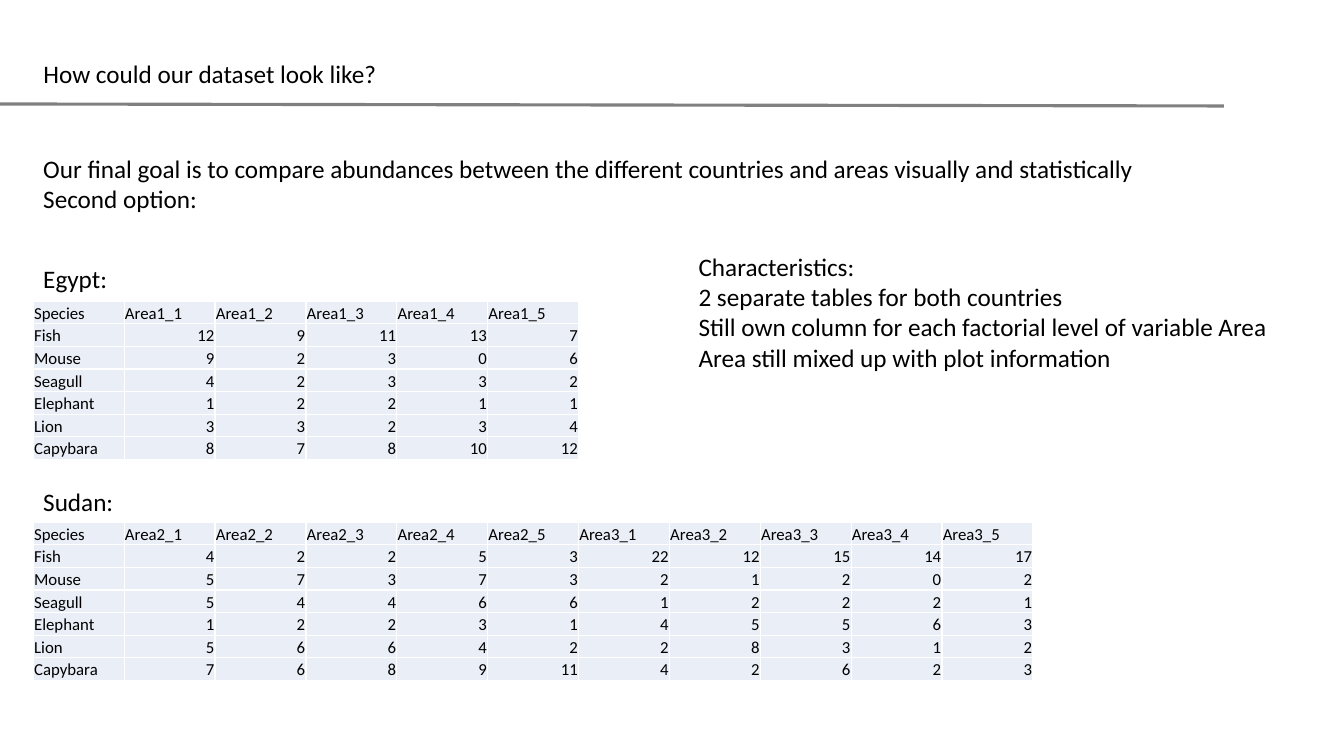
from lxml import etree
from pptx import Presentation
from pptx.dml.color import RGBColor
from pptx.enum import shapes, text
from pptx.oxml.ns import qn
from pptx.util import Cm, Pt

TITLE = "How could our dataset look like?"
GOAL = [
    "Our final goal is to compare abundances between the different countries and areas visually and statistically",
    "Second option:",
]
TRAITS = [
    "Characteristics:",
    "2 separate tables for both countries",
    "Still own column for each factorial level of variable Area",
    "Area still mixed up with plot information",
]
SPECIES = ["Fish", "Mouse", "Seagull", "Elephant", "Lion", "Capybara"]
PLOTS = 5
EGYPT = [
    [12, 9, 11, 13, 7],
    [9, 2, 3, 0, 6],
    [4, 2, 3, 3, 2],
    [1, 2, 2, 1, 1],
    [3, 3, 2, 3, 4],
    [8, 7, 8, 10, 12],
]
SUDAN = [
    [4, 2, 2, 5, 3, 22, 12, 15, 14, 17],
    [5, 7, 3, 7, 3, 2, 1, 2, 0, 2],
    [5, 4, 4, 6, 6, 1, 2, 2, 2, 1],
    [1, 2, 2, 3, 1, 4, 5, 5, 6, 3],
    [5, 6, 6, 4, 2, 2, 8, 3, 1, 2],
    [7, 6, 8, 9, 11, 4, 2, 6, 2, 3],
]
# label, label width, label top, table top, areas, counts
COUNTRIES = [
    ("Egypt:", 2.13, 6.5, 7.59, [1], EGYPT),
    ("Sudan:", 2.31, 12.14, 13.16, [2, 3], SUDAN),
]
COLORS = {"text": "000000", "rule": "808080", "cell": "EAEFF7", "edge": "FFFFFF"}
FONT = "Calibri"
LEFT, COL, ROW = 0.84, 2.29, 0.57


def color(name):
    return RGBColor.from_string(COLORS[name])


def write(frame, lines, size=18, align=text.PP_ALIGN.LEFT):
    frame.text = "\n".join(lines)
    for par in frame.paragraphs:
        props = par._p.get_or_add_pPr()
        props.set("marL", "0")
        props.set("indent", "0")
        etree.SubElement(props, qn("a:buNone"))
        par.alignment = align
        par.space_before = Pt(0)
        for run in par.runs:
            run.font.size = Pt(size)
            run.font.name = FONT
            run.font.color.rgb = color("text")


def place(shape, lines, left, top, width, height):
    shape.left, shape.top = Cm(left), Cm(top)
    shape.width, shape.height = Cm(width), Cm(height)
    frame = shape.text_frame
    write(frame, lines)
    frame.word_wrap = False
    frame.auto_size = text.MSO_AUTO_SIZE.SHAPE_TO_FIT_TEXT
    frame.vertical_anchor = text.MSO_ANCHOR.TOP


def label(slide, lines, *box):
    place(slide.shapes.add_textbox(0, 0, 0, 0), lines, *box)


def edge(cell):
    """Draw a thin border on all four sides of a cell."""
    props = cell._tc.get_or_add_tcPr()
    for side in "LRTB":
        line = etree.SubElement(props, qn("a:ln" + side), w=str(Pt(1)))
        fill = etree.SubElement(line, qn("a:solidFill"))
        etree.SubElement(fill, qn("a:srgbClr"), val=COLORS["edge"])


def grid(slide, top, areas, counts):
    heads = [f"Area{area}_{plot}" for area in areas for plot in range(1, PLOTS + 1)]
    rows = [["Species", *heads]]
    rows += [[name, *nums] for name, nums in zip(SPECIES, counts)]
    high, wide = len(rows), len(rows[0])
    table = slide.shapes.add_table(
        high, wide, Cm(LEFT), Cm(top), Cm(COL * wide), Cm(ROW * high)
    ).table
    table.first_row = table.horz_banding = False
    for col in table.columns:
        col.width = Cm(COL)
    for row, values in zip(table.rows, rows):
        row.height = Cm(ROW)
        for cell, value in zip(row.cells, values):
            number = isinstance(value, int)
            align = text.PP_ALIGN.RIGHT if number else text.PP_ALIGN.LEFT
            write(cell.text_frame, [str(value)], size=12, align=align)
            cell.margin_left = cell.margin_right = cell.margin_top = Cm(0.02)
            cell.margin_bottom = 0
            cell.vertical_anchor = text.MSO_ANCHOR.BOTTOM
            edge(cell)
            cell.fill.solid()
            cell.fill.fore_color.rgb = color("cell")


def main():
    deck = Presentation()
    deck.slide_width, deck.slide_height = Cm(33.87), Cm(19.05)
    slide = deck.slides.add_slide(deck.slide_layouts[1])

    rule = slide.shapes.add_connector(
        shapes.MSO_CONNECTOR.STRAIGHT, 0, Cm(2.62), Cm(30.84), Cm(2.67)
    )
    rule.line.color.rgb = color("rule")
    rule.line.width = Pt(2.25)
    etree.SubElement(rule._element.spPr, qn("a:effectLst"))

    place(slide.shapes.title, [TITLE], LEFT, 1.35, 9.35, 1.02)
    label(slide, GOAL, LEFT, 3.73, 28.32, 1.8)
    for name, width, top, start, areas, counts in COUNTRIES:
        grid(slide, start, areas, counts)
        label(slide, [name], LEFT, top, width, 1.02)
    place(slide.placeholders[1], TRAITS, 17.35, 6.2, 15.16, 4.11)
    deck.save("out.pptx")


if __name__ == "__main__":
    main()
